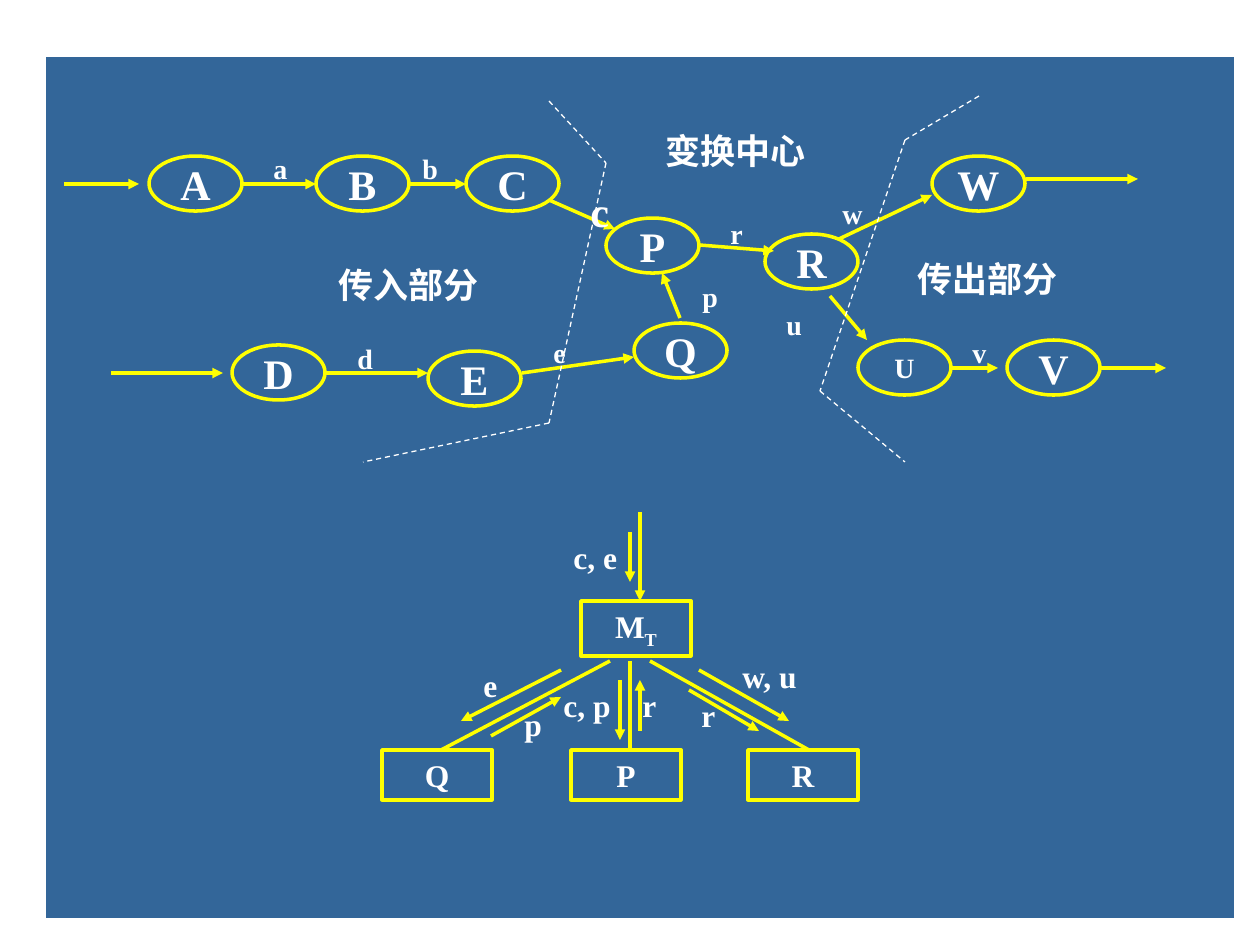
from itertools import pairwise
from typing import NamedTuple

from lxml import etree
from pptx import Presentation
from pptx import util as u
from pptx.dml.color import RGBColor
from pptx.enum import dml, shapes, text
from pptx.oxml import ns

PX = 914400 / 126
FONT = "Times New Roman"
WHITE = RGBColor(0xFF, 0xFF, 0xFF)
YELLOW = RGBColor(0xFF, 0xFF, 0x00)
BLUE = RGBColor(0x33, 0x66, 0x99)


class Node(NamedTuple):
    name: str
    left: int
    top: int
    size: int = 24


class Module(NamedTuple):
    name: str
    left: int
    top: int
    height: int = 50
    subscript: str = ""


class Label(NamedTuple):
    words: str
    left: int
    top: int
    width: int
    height: int
    size: int


class Line(NamedTuple):
    x1: int
    y1: int
    x2: int
    y2: int


PANEL = (45, 56, 1190, 863)

# Structure chart: modules, calls, data couples and their labels
MODULES = [
    Module("M", 581, 601, 55, "T"),
    Module("P", 571, 750),
    Module("Q", 382, 750),
    Module("R", 748, 750),
]
CALLS = [Line(610, 661, 441, 750), Line(630, 661, 630, 750), Line(650, 661, 809, 750)]
COUPLES = [
    Line(561, 670, 461, 721), Line(620, 680, 620, 740), Line(640, 731, 640, 680),
    Line(699, 670, 789, 721), Line(491, 736, 561, 697), Line(640, 512, 640, 601),
    Line(689, 690, 759, 731), Line(630, 532, 630, 582),
]
COUPLE_LABELS = [
    Label(words, left, top, width, 50, 18)
    for words, left, top, width in [
        ("e", 471, 660, 39), ("c, p", 551, 680, 79), ("r", 630, 680, 39),
        ("w, u", 730, 651, 89), ("p", 512, 699, 39), ("c, e", 561, 532, 79),
        ("r", 689, 690, 39),
    ]
]

# Data flow diagram: processes, flows, labels and boundaries
NODES = [
    Node("A", 149, 156), Node("B", 316, 156), Node("C", 466, 156),
    Node("P", 606, 218), Node("W", 932, 156), Node("U", 858, 340, 16),
    Node("D", 232, 345), Node("E", 428, 351), Node("Q", 634, 323),
    Node("V", 1007, 340), Node("R", 765, 234),
]
FLOWS = [
    Line(64, 184, 139, 184), Line(242, 184, 316, 184), Line(410, 184, 466, 184),
    Line(549, 200, 615, 229), Line(111, 373, 223, 373), Line(326, 373, 428, 373),
    Line(522, 373, 634, 357), Line(680, 318, 662, 273), Line(699, 245, 774, 251),
    Line(839, 239, 932, 195), Line(1026, 179, 1138, 179), Line(830, 296, 867, 340),
    Line(951, 368, 998, 368), Line(1100, 368, 1166, 368),
]
FLOW_LABELS = [
    Label(words, left, top, 66, 47, 16)
    for words, left, top in [
        ("a", 261, 145), ("r", 718, 210), ("u", 774, 301), ("w", 830, 190),
        ("d", 345, 335), ("e", 541, 329), ("p", 690, 273), ("v", 960, 329),
        ("b", 410, 145),
    ]
] + [Label("c", 578, 179, 66, 63, 24)]
BOUNDARIES = [
    [(549, 101), (606, 163), (549, 423), (363, 462)],
    [(979, 96), (905, 140), (820, 391), (905, 462)],
]
HEADINGS = [
    Label("变换中心", 653, 123, 197, 55, 20),
    Label("传出部分", 905, 251, 197, 55, 20),
    Label("传入部分", 326, 257, 197, 55, 20),
]


def px(*lengths: int) -> list[u.Emu]:
    return [u.Emu(round(length * PX)) for length in lengths]


def format_runs(paragraph, size: int) -> None:
    for run in paragraph.runs:
        run.font.name = FONT
        run.font.size = u.Pt(size)
        run.font.bold = True
        run.font.color.rgb = WHITE


def add_outline(slide, kind, left: int, top: int, width: int, height: int):
    shape = slide.shapes.add_shape(kind, *px(left, top, width, height))
    shape.shadow.inherit = False
    shape.fill.background()
    shape.line.color.rgb = YELLOW
    shape.line.width = u.Pt(2)
    return shape


def add_module(slide, module: Module) -> None:
    shape = add_outline(slide, shapes.MSO_SHAPE.RECTANGLE,
                        module.left, module.top, 110, module.height)
    frame = shape.text_frame
    frame.text = module.name
    frame.vertical_anchor = text.MSO_ANCHOR.TOP
    paragraph = frame.paragraphs[0]
    paragraph.alignment = text.PP_ALIGN.CENTER
    if module.subscript:
        run = paragraph.add_run()
        run.text = module.subscript
        run._r.get_or_add_rPr().set("baseline", "-25000")
    format_runs(paragraph, 18)


def add_node(slide, node: Node) -> None:
    shape = add_outline(slide, shapes.MSO_SHAPE.OVAL, node.left, node.top, 93, 55)
    frame = shape.text_frame
    frame.text = node.name
    frame.word_wrap = False
    frame.vertical_anchor = text.MSO_ANCHOR.MIDDLE
    frame.paragraphs[0].alignment = text.PP_ALIGN.CENTER
    format_runs(frame.paragraphs[0], node.size)


def add_label(slide, label: Label) -> None:
    box = slide.shapes.add_textbox(*px(label.left, label.top, label.width, label.height))
    box.text_frame.text = label.words
    box.text_frame.word_wrap = True
    format_runs(box.text_frame.paragraphs[0], label.size)


def add_line(slide, line: Line, color: RGBColor = YELLOW, width: float = 2,
             arrow: bool = False, dashed: bool = False) -> None:
    connector = slide.shapes.add_connector(shapes.MSO_CONNECTOR.STRAIGHT, *px(*line))
    connector.line.color.rgb = color
    connector.line.width = u.Pt(width)
    if dashed:
        connector.line.dash_style = dml.MSO_LINE.DASH
    if arrow:
        outline = connector.line._get_or_add_ln()
        etree.SubElement(outline, ns.qn("a:tailEnd"), type="triangle")
    etree.SubElement(connector._element.spPr, ns.qn("a:effectLst"))


def main() -> None:
    presentation = Presentation()
    presentation.slide_width, presentation.slide_height = u.Inches(10), u.Inches(7.5)
    slide = presentation.slides.add_slide(presentation.slide_layouts[6])

    # Blue panel
    panel = add_outline(slide, shapes.MSO_SHAPE.RECTANGLE, *PANEL)
    panel.fill.solid()
    panel.fill.fore_color.rgb = BLUE
    panel.line.color.rgb = WHITE
    panel.line.width = u.Pt(1)

    # Structure chart
    for module in MODULES:
        add_module(slide, module)
    for call in CALLS:
        add_line(slide, call)
    for couple in COUPLES:
        add_line(slide, couple, arrow=True)
    for label in COUPLE_LABELS:
        add_label(slide, label)

    # Data flow diagram
    for node in NODES:
        add_node(slide, node)
    for flow in FLOWS:
        add_line(slide, flow, arrow=True)
    for label in FLOW_LABELS:
        add_label(slide, label)
    for boundary in BOUNDARIES:
        for start, end in pairwise(boundary):
            add_line(slide, Line(*start, *end), WHITE, 0.75, dashed=True)
    for heading in HEADINGS:
        add_label(slide, heading)

    presentation.save("out.pptx")


if __name__ == "__main__":
    main()
